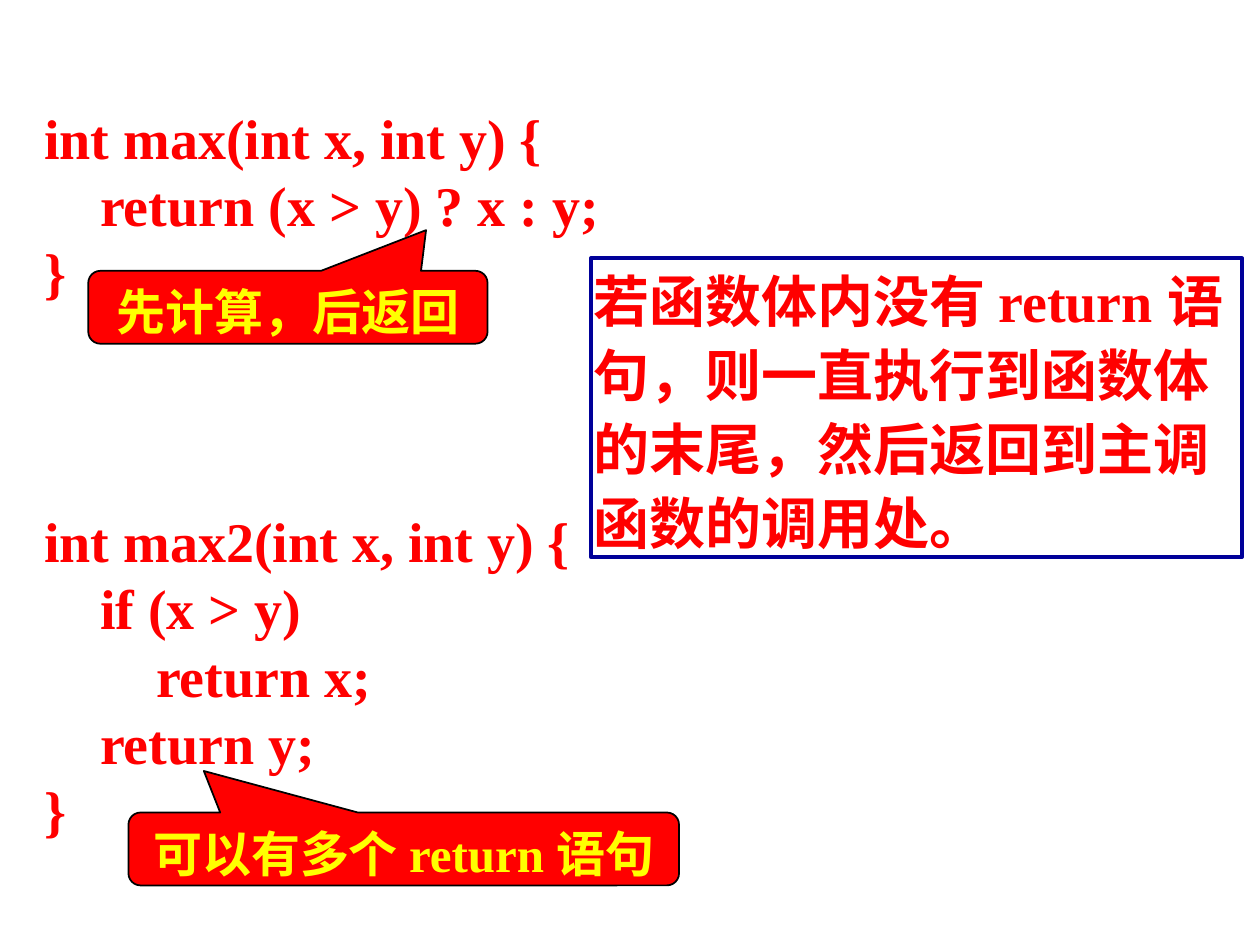
"""Build a slide on the return statement: two functions, two callouts and a note."""
import dataclasses
import typing

import pptx
import pptx.dml.color
import pptx.enum.lang
import pptx.enum.shapes
import pptx.enum.text
import pptx.shapes.autoshape
import pptx.slide
import pptx.util

Cm = pptx.util.Cm
Pt = pptx.util.Pt
Kind = pptx.enum.shapes.MSO_SHAPE
Align = pptx.enum.text.PP_ALIGN
Anchor = pptx.enum.text.MSO_ANCHOR

RED = "FF0000"
GOLD = "FFFF00"
NAVY = "000099"
BLACK = "000000"

FUNCS = (
    """int max(int x, int y) {
    return (x > y) ? x : y;
}""",
    """int max2(int x, int y) {
    if (x > y)
        return x;
    return y;
}""",
)
NOTE = "若函数体内没有 return 语句，则一直执行到函数体的末尾，然后返回到主调函数的调用处。"


@dataclasses.dataclass
class Box:
    left: float
    top: float
    width: float
    height: float

    def cm(self) -> tuple:
        return tuple(Cm(n) for n in dataclasses.astuple(self))


@dataclasses.dataclass
class Callout:
    text: str
    box: Box
    tip: tuple


CALLS = (
    Callout("先计算，后返回", Box(1.78, 5.46, 8.05, 1.47), (0.346, -1.058)),
    Callout("可以有多个 return 语句", Box(2.59, 16.38, 11.1, 1.47), (-0.363, -1.07)),
)


def color(code: str) -> pptx.dml.color.RGBColor:
    return pptx.dml.color.RGBColor.from_string(code)


def write(para: typing.Any, text: str, *, size: float = 32, ink: str = RED,
          align: typing.Any = Align.LEFT, lead: typing.Any = None,
          before: typing.Any = None) -> None:
    para.alignment = align
    para.line_spacing = lead
    para.space_before = before
    run = para.add_run()
    run.text = text
    font = run.font
    font.name = "Times New Roman"
    font.size = Pt(size)
    font.bold = True
    font.color.rgb = color(ink)
    font.language_id = pptx.enum.lang.MSO_LANGUAGE_ID.SIMPLIFIED_CHINESE


def draw_code(slide: pptx.slide.Slide, funcs: tuple, box: Box) -> None:
    frame = slide.shapes.add_textbox(*box.cm()).text_frame
    frame.word_wrap = False
    pitch = Pt(38.4)
    para = frame.paragraphs[0]
    for i, func in enumerate(funcs):
        for j, line in enumerate(func.splitlines()):
            if i or j:
                para = frame.add_paragraph()
            gap = 3 * pitch if i and not j else None
            write(para, line, lead=pitch, before=gap)


def draw_box(slide: pptx.slide.Slide, kind: typing.Any, box: Box, text: str, *,
             fill: typing.Optional[str], edge: str, weight: float,
             **style: typing.Any) -> pptx.shapes.autoshape.Shape:
    shape = slide.shapes.add_shape(kind, *box.cm())
    shape.shadow.inherit = False
    if fill:
        shape.fill.solid()
        shape.fill.fore_color.rgb = color(fill)
    else:
        shape.fill.background()
    shape.line.color.rgb = color(edge)
    shape.line.width = Pt(weight)
    frame = shape.text_frame
    frame.word_wrap = True
    frame.vertical_anchor = Anchor.TOP
    frame.margin_left = frame.margin_right = Cm(0.05)
    frame.margin_top = frame.margin_bottom = Cm(0.03)
    write(frame.paragraphs[0], text, lead=1.1, **style)
    return shape


def draw_call(slide: pptx.slide.Slide, call: Callout) -> None:
    shape = draw_box(slide, Kind.ROUNDED_RECTANGULAR_CALLOUT, call.box, call.text,
                     fill=RED, edge=BLACK, weight=1,
                     size=28, ink=GOLD, align=Align.CENTER)
    for i, value in enumerate((*call.tip, 0.167)):
        shape.adjustments[i] = value


def main() -> None:
    deck = pptx.Presentation()
    deck.slide_width, deck.slide_height = Cm(25.4), Cm(19.05)
    slide = deck.slides.add_slide(deck.slide_layouts[6])
    draw_code(slide, FUNCS, Box(0.64, 1.96, 11.73, 15.16))
    draw_box(slide, Kind.RECTANGLE, Box(11.91, 5.21, 13.13, 6.02), NOTE,
             fill=None, edge=NAVY, weight=2.25)
    for call in CALLS:
        draw_call(slide, call)
    deck.save("out.pptx")


if __name__ == "__main__":
    main()
